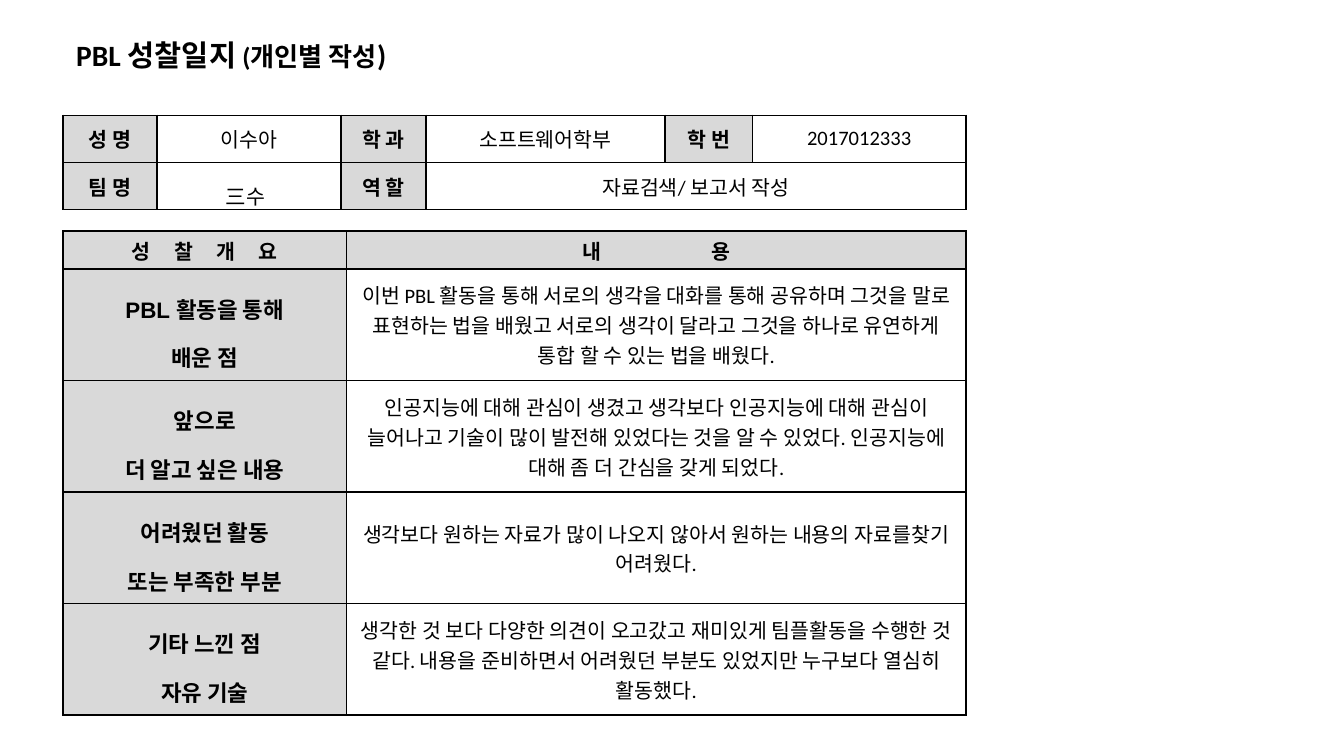
from lxml.etree import SubElement
from pptx import Presentation
from pptx.dml.color import RGBColor
from pptx.enum.text import MSO_ANCHOR as Anchor, PP_ALIGN as Align
from pptx.oxml.ns import qn
from pptx.util import Cm, Pt


class Theme:
    ink = RGBColor(0x00, 0x00, 0x00)
    shade = RGBColor(0xD9, 0xD9, 0xD9)
    border = Pt(1)
    fonts = {
        "title": {"name": "Calibri", "size": Pt(15.8), "bold": True},
        "subtitle": {"name": "Calibri", "size": Pt(14), "bold": True},
        "label": {"name": "Calibri", "size": Pt(11), "bold": True},
        "prompt": {"name": "Arial", "size": Pt(12), "bold": True},
        "body": {"name": "Calibri", "size": Pt(11), "bold": False},
        "gap": {"name": "Calibri", "size": Pt(18), "bold": False},
    }
    cell = {
        "vertical_anchor": Anchor.MIDDLE,
        "margin_left": Cm(0.15), "margin_right": Cm(0.15),
        "margin_top": Cm(0.05), "margin_bottom": Cm(0.05),
    }


def write(frame, paragraphs, align, line_spacing=None):
    for index, spans in enumerate(paragraphs):
        para = frame.add_paragraph() if index else frame.paragraphs[0]
        para.alignment = align
        para.line_spacing = line_spacing
        for text, style, *tracking in spans:
            span = para.add_run()
            span.text = text
            for key, value in Theme.fonts[style].items():
                setattr(span.font, key, value)
            span.font.color.rgb = Theme.ink
            if tracking:
                span.font._element.set("spc", str(tracking[0] * 100))


def add_grid(page, top, widths, heights, rows, is_shaded):
    frame = page.shapes.add_table(len(heights), len(widths), Cm(1.19), Cm(top),
                                  Cm(sum(widths)), Cm(sum(heights)))
    table = frame.table
    table.first_row = table.horz_banding = False
    for column, width in zip(table.columns, widths):
        column.width = Cm(width)
    for row, height in zip(table.rows, heights):
        row.height = Cm(height)
    for r in range(len(heights)):
        for c in range(len(widths)):
            cell = table.cell(r, c)
            for key, value in Theme.cell.items():
                setattr(cell, key, value)
            properties = cell._tc.get_or_add_tcPr()
            for side in ("a:lnL", "a:lnR", "a:lnT", "a:lnB"):
                line = SubElement(properties, qn(side), w=str(Theme.border))
                fill = SubElement(line, qn("a:solidFill"))
                SubElement(fill, qn("a:srgbClr"), val=str(Theme.ink))
            if is_shaded(r, c):
                cell.fill.solid()
                cell.fill.fore_color.rgb = Theme.shade
            else:
                cell.fill.background()
            if c < len(rows[r]):
                paragraphs = rows[r][c]
                spacing = 1.5 if len(paragraphs) > 1 else None
                write(cell.text_frame, paragraphs, Align.CENTER, spacing)
    return table


deck = Presentation()
deck.slide_width, deck.slide_height = Cm(25.4), Cm(14.29)
page = deck.slides.add_slide(deck.slide_layouts[6])

box = page.shapes.add_textbox(Cm(1.19), Cm(0.58), Cm(7.34), Cm(0.94))
box.text_frame.word_wrap = False
title = [("PBL 성찰일지", "title"), (" (개인별 작성", "subtitle"), (")", "title")]
write(box.text_frame, [title], Align.LEFT)

profile = [
    [("성 명", "이수아"), ("학 과", "소프트웨어학부"), ("학 번", "2017012333")],
    [("팀 명", "三수"), ("역 할", "자료검색/ 보고서 작성")],
]
profile_rows = [
    [[[(text, style)]] for pair in pairs for text, style in zip(pair, ("label", "body"))]
    for pairs in profile
]
profile_rows[1][1][0].append((" ", "gap"))
profile_table = add_grid(page, 2.18, [1.78, 3.48, 1.6, 4.52, 1.65, 4.04], [0.89] * 2,
                         profile_rows, lambda r, c: c % 2 == 0 and (r, c) != (1, 4))
profile_table.cell(1, 3).merge(profile_table.cell(1, 5))

reflections = [
    (["PBL 활동을 통해", "배운 점"],
     "이번 PBL 활동을 통해 서로의 생각을 대화를 통해 공유하며 그것을 말로 표현하는 법을 배웠고 "
     "서로의 생각이 달라고 그것을 하나로 유연하게 통합 할 수 있는 법을 배웠다."),
    (["앞으로", "더 알고 싶은 내용"],
     "인공지능에 대해 관심이 생겼고 생각보다 인공지능에 대해 관심이 늘어나고 기술이 많이 발전해 "
     "있었다는 것을 알 수 있었다. 인공지능에 대해 좀 더 간심을 갖게 되었다."),
    (["어려웠던 활동", "또는 부족한 부분"],
     "생각보다 원하는 자료가 많이 나오지 않아서 원하는 내용의 자료를찾기 어려웠다."),
    (["기타 느낀 점", "자유 기술"],
     "생각한 것 보다 다양한 의견이 오고갔고 재미있게 팀플활동을 수행한 것 같다. 내용을 준비하면서 "
     "어려웠던 부분도 있었지만 누구보다 열심히 활동했다."),
]
reflection_rows = [[
    [[("성 찰 개 ", "label", 5), ("요", "label")]],
    [[("내 ", "label", 28), ("용", "label")]],
]]
for prompts, answer in reflections:
    reflection_rows.append([[[(prompt, "prompt")] for prompt in prompts], [[(answer, "body")]]])
add_grid(page, 4.37, [5.36, 11.71], [0.71] + [2.11] * len(reflections),
         reflection_rows, lambda r, c: r == 0 or c == 0)

deck.save("out.pptx")
